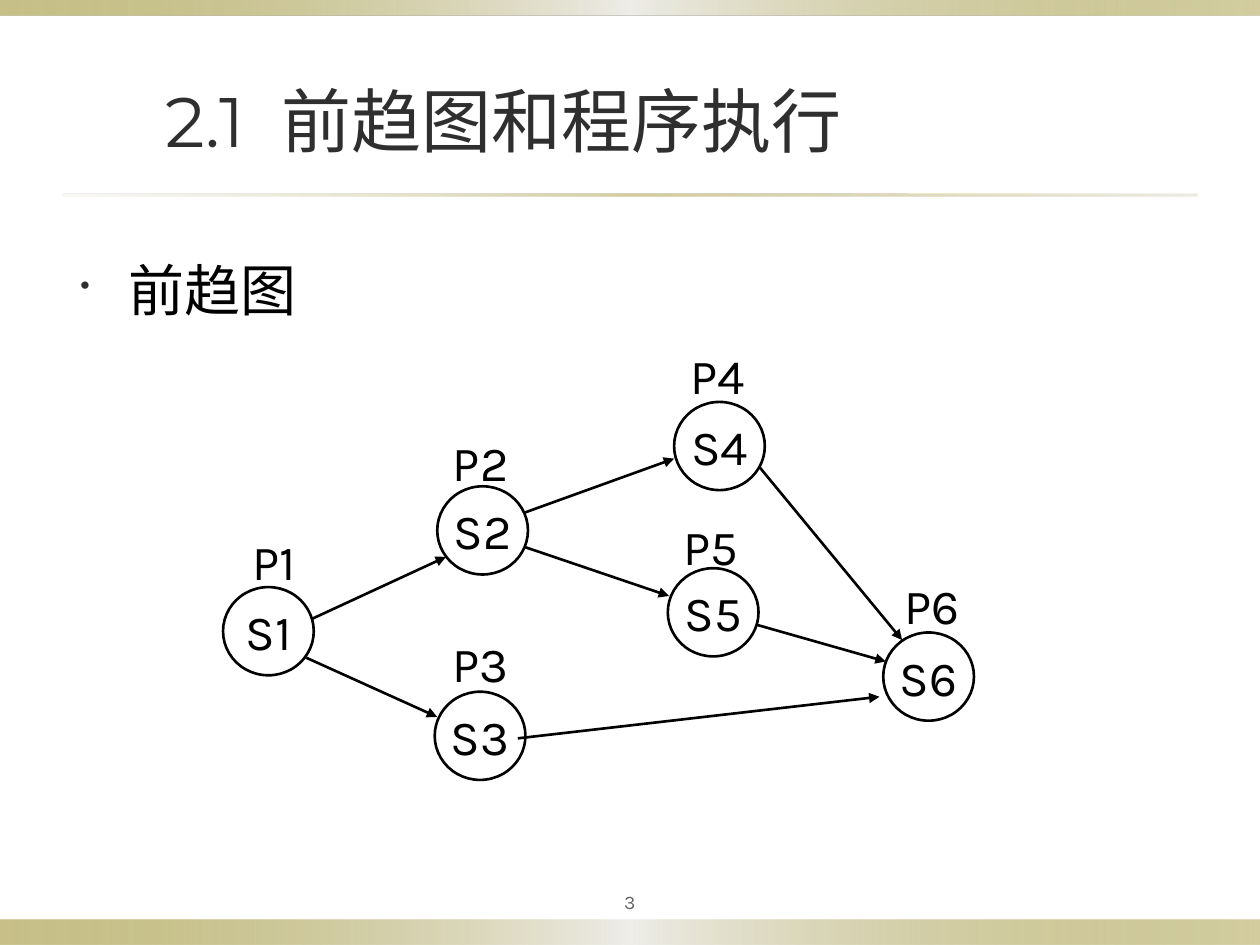
"""Build a slide showing a precedence graph of six processes."""
import dataclasses
import typing

import lxml.etree
import pptx
import pptx.dml.color
import pptx.enum.shapes
import pptx.enum.text
import pptx.oxml.ns
import pptx.util

CELL = 0.1
COLUMNS, ROWS = 100, 75
BLACK, DARK, GREY = "000000", "2F2F2F", "636363"
LATIN, TITLE_FONT, HAN = "Karla", "Montserrat", "Noto Sans CJK SC"
NODE_SIZE = (7.2, 7)
LABEL_SIZE = (7.1, 4.9)
TIGHT = (0.02, 0.01)
LINE_WIDTH = 1.5
BAND = ((0, "918415", 50), (50, "EEEDE8", 100), (100, "918415", 40))
RULE = ((0, "DCD9CC", 20), (50, "918415", 40), (100, "DCD9CC", 50))


@dataclasses.dataclass(frozen=True)
class Node:
    """A numbered process circle and its label, placed in grid cells."""
    number: int
    column: float
    row: float
    label_column: float
    label_row: float


@dataclasses.dataclass(frozen=True)
class Edge:
    """An arrow between two points, in grid cells."""
    start: tuple[float, float]
    end: tuple[float, float]


NODES = (
    Node(1, 17.7, 46.6, 18.2, 42.1),
    Node(2, 34.7, 38.6, 34.6, 34.2),
    Node(3, 34.5, 54.9, 34.6, 50.2),
    Node(4, 53.5, 31.9, 53.4, 27.3),
    Node(5, 53, 45.1, 52.9, 40.9),
    Node(6, 70.1, 50.2, 70.4, 45.6),
)
EDGES = (
    Edge((24.8, 49.1), (35.4, 44.2)),
    Edge((41.6, 40.7), (53.5, 36.4)),
    Edge((24.3, 52.2), (34.7, 56.9)),
    Edge((41.1, 58.6), (69.8, 55.3)),
    Edge((41.6, 43.4), (53.1, 47.3)),
    Edge((60.1, 49.6), (70.3, 52.5)),
    Edge((60.3, 37.1), (71.6, 50.8)),
)


def cells(*counts: float) -> list[int]:
    """Turn grid cells into slide lengths."""
    return [pptx.util.Inches(count * CELL) for count in counts]


def colour(value: str) -> pptx.dml.color.RGBColor:
    """Turn a hex string into a colour."""
    return pptx.dml.color.RGBColor.from_string(value)


def add_node(parent: typing.Any, tag: str, **attributes: str) -> typing.Any:
    """Append a DrawingML element to a parent."""
    return lxml.etree.SubElement(parent, pptx.oxml.ns.qn(tag), attributes)


def add_span(para: typing.Any, text: str, *, font: str, size: float,
             color: str, tracking: float = 0) -> None:
    """Add formatted text to a paragraph."""
    span = para.add_run()
    span.text = text
    span.font.size = pptx.util.Pt(size)
    span.font.name = font
    span.font.color.rgb = colour(color)
    properties = span.font._element
    add_node(properties, "a:ea", typeface=font)
    if tracking:
        properties.set("spc", str(round(tracking * 100)))


def prepare_text(box: typing.Any, *, insets: tuple[float, float] = (0.1, 0.05),
                 middle: bool = False, centred: bool = True,
                 grow: bool = False) -> typing.Any:
    """Set up a text frame and return its first paragraph."""
    frame = box.text_frame
    frame.word_wrap = True
    frame.margin_left = frame.margin_right = pptx.util.Inches(insets[0])
    frame.margin_top = frame.margin_bottom = pptx.util.Inches(insets[1])
    anchors = pptx.enum.text.MSO_ANCHOR
    frame.vertical_anchor = anchors.MIDDLE if middle else anchors.TOP
    if grow:
        frame.auto_size = pptx.enum.text.MSO_AUTO_SIZE.SHAPE_TO_FIT_TEXT
    para = frame.paragraphs[0]
    aligns = pptx.enum.text.PP_ALIGN
    para.alignment = aligns.CENTER if centred else aligns.LEFT
    return para


def draw_band(page: typing.Any, column: float, row: float, width: float,
              height: float, stops: tuple) -> None:
    """Draw a strip with a horizontal gradient."""
    band = page.shapes.add_shape(pptx.enum.shapes.MSO_SHAPE.RECTANGLE,
                                 *cells(column, row, width, height))
    band.shadow.inherit = False
    band.line.fill.background()
    band.fill.gradient()
    band.fill.gradient_angle = 0
    stop_list = band._element.spPr.find(".//" + pptx.oxml.ns.qn("a:gsLst"))
    for stop in list(stop_list):
        stop_list.remove(stop)
    for position, color, opacity in stops:
        stop = add_node(stop_list, "a:gs", pos=str(position * 1000))
        tint = add_node(stop, "a:srgbClr", val=color)
        add_node(tint, "a:alpha", val=str(opacity * 1000))


def draw_node(diagram: typing.Any, node: Node) -> None:
    """Draw a process circle."""
    circle = diagram.shapes.add_shape(pptx.enum.shapes.MSO_SHAPE.OVAL,
                                      *cells(node.column, node.row, *NODE_SIZE))
    circle.shadow.inherit = False
    circle.fill.background()
    circle.line.color.rgb = colour(BLACK)
    circle.line.width = pptx.util.Pt(LINE_WIDTH)
    para = prepare_text(circle, insets=TIGHT, middle=True, grow=True)
    add_span(para, f"S{node.number}", font=LATIN, size=28, color=BLACK)


def draw_label(diagram: typing.Any, node: Node) -> None:
    """Draw the label above a process circle."""
    box = diagram.shapes.add_textbox(
        *cells(node.label_column, node.label_row, *LABEL_SIZE))
    para = prepare_text(box, insets=TIGHT, grow=True)
    add_span(para, f"P{node.number}", font=LATIN, size=28, color=BLACK)


def draw_edge(diagram: typing.Any, edge: Edge) -> None:
    """Draw an arrow between two circles."""
    arrow = diagram.shapes.add_connector(
        pptx.enum.shapes.MSO_CONNECTOR.STRAIGHT, *cells(*edge.start, *edge.end))
    arrow.line.color.rgb = colour(BLACK)
    arrow.line.width = pptx.util.Pt(LINE_WIDTH)
    add_node(arrow.line._get_or_add_ln(), "a:tailEnd", type="triangle")
    add_node(arrow._element.spPr, "a:effectLst")


def draw_text(page: typing.Any) -> None:
    """Draw the title, the bullet and the page number."""
    title = page.shapes.add_textbox(*cells(3.3, 4.6, 73.3, 9.7))
    para = prepare_text(title, middle=True)
    title_format = {"size": 40, "color": DARK}
    add_span(para, "2.1", font=TITLE_FONT, **title_format)
    add_span(para, " ", font=TITLE_FONT, tracking=10.5, **title_format)
    add_span(para, "前趋图和程序执行", font=HAN, **title_format)

    body = page.shapes.add_textbox(*cells(5.4, 19.8, 66.6, 8))
    para = prepare_text(body, centred=False)
    para.space_before = pptx.util.Pt(6.4)
    add_span(para, "前趋图", font=HAN, size=32, color=BLACK)
    properties = para._element.get_or_add_pPr()
    indent = pptx.util.Inches(0.38)
    properties.set("marL", str(indent))
    properties.set("indent", str(-indent))
    add_node(add_node(properties, "a:buClr"), "a:srgbClr", val=DARK)
    add_node(properties, "a:buSzPct", val="50000")
    add_node(properties, "a:buChar", char="•")

    number = page.shapes.add_textbox(*cells(45, 70, 10, 3.1))
    para = prepare_text(number, insets=(0.05, 0.05), middle=True)
    add_span(para, "3", font=LATIN, size=11, color=GREY)


def main() -> None:
    """Build and save the deck."""
    deck = pptx.Presentation()
    deck.slide_width, deck.slide_height = cells(COLUMNS, ROWS)
    page = deck.slides.add_slide(deck.slide_layouts[6])
    draw_band(page, 0, ROWS - 2, COLUMNS, 2, BAND)
    draw_band(page, 0, 0, COLUMNS, 1.2, BAND)
    draw_band(page, 5, 15.4, COLUMNS - 10, 0.2, RULE)
    draw_text(page)
    diagram = page.shapes.add_group_shape()
    for draw, items in ((draw_node, NODES), (draw_edge, EDGES), (draw_label, NODES)):
        for item in items:
            draw(diagram, item)
    deck.save("out.pptx")


if __name__ == "__main__":
    main()
